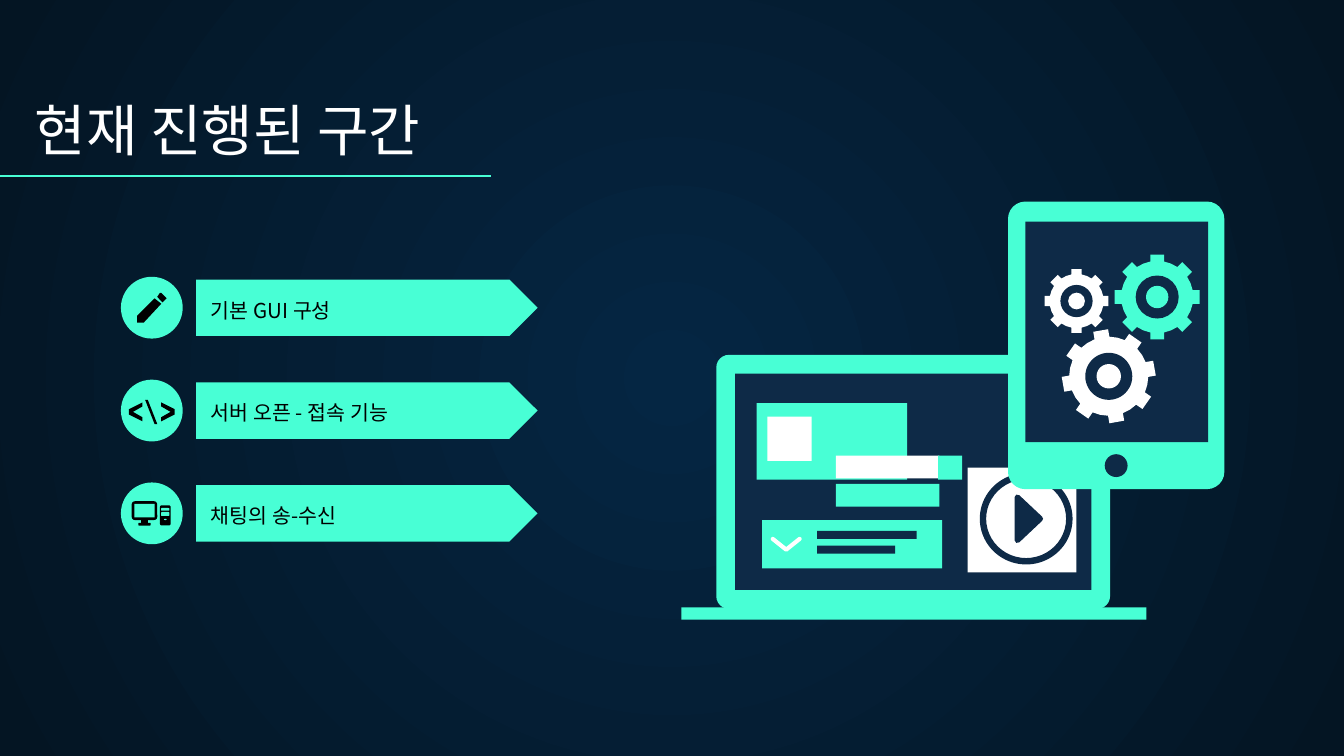
from math import asin, cos, pi, radians, sin

from lxml.etree import SubElement
from pptx import Presentation
from pptx.dml.color import RGBColor
from pptx.enum.shapes import MSO_CONNECTOR, MSO_SHAPE
from pptx.enum.text import MSO_ANCHOR
from pptx.oxml.ns import qn
from pptx.util import Inches, Pt

MINT = RGBColor(0x48, 0xFF, 0xD5)
NAVY = RGBColor(0x0E, 0x2A, 0x47)
WHITE = RGBColor(0xFF, 0xFF, 0xFF)
BLACK = RGBColor(0, 0, 0)
GLOW = RGBColor(0x05, 0x26, 0x43)
EDGE = RGBColor(0x04, 0x15, 0x23)
FONT = "Noto Sans CJK KR"


def paint(shape, color):
    shape.shadow.inherit = False
    shape.fill.solid()
    shape.fill.fore_color.rgb = color
    shape.line.fill.background()
    return shape


def add_block(page, kind, left, top, width, height, color, adjust=None):
    shape = page.shapes.add_shape(
        kind, Inches(left), Inches(top), Inches(width), Inches(height))
    if adjust is not None:
        shape.adjustments[0] = adjust
    return paint(shape, color)


def add_outline(page, left, top, points, color, close=True):
    corners = [(Inches(left + x), Inches(top + y)) for x, y in points]
    builder = page.shapes.build_freeform(*corners[0])
    builder.add_line_segments(corners[1:], close=close)
    return paint(builder.convert_to_shape(), color)


def round_stroke(shape, color, width):
    shape.line.color.rgb = color
    shape.line.width = Pt(width)
    stroke = shape.line._get_or_add_ln()
    stroke.set("cap", "rnd")
    SubElement(stroke, qn("a:round"))


def add_text(page, left, top, width, height, text, size, color):
    box = page.shapes.add_textbox(
        Inches(left), Inches(top), Inches(width), Inches(height))
    frame = box.text_frame
    frame.word_wrap = True
    frame.vertical_anchor = MSO_ANCHOR.BOTTOM
    frame.margin_left = frame.margin_right = Inches(0.1)
    frame.margin_top = frame.margin_bottom = Inches(0.1)
    frame.text = text
    font = frame.paragraphs[0].runs[0].font
    font.size = Pt(size)
    font.name = FONT
    font.color.rgb = color
    SubElement(font._element, qn("a:ea")).set("typeface", FONT)


def draw_background(page):
    fill = page.background.fill
    fill.gradient()
    for stop, color in zip(fill.gradient_stops, (GLOW, EDGE)):
        stop.color.rgb = color
    gradient = page._element.find(".//" + qn("a:gradFill"))
    linear = gradient.find(qn("a:lin"))
    if linear is not None:
        gradient.remove(linear)
    circle = SubElement(gradient, qn("a:path"))
    circle.set("path", "circle")
    center = SubElement(circle, qn("a:fillToRect"))
    for side in "ltrb":
        center.set(side, "50000")


def draw_title(page, left, top, width, height, text):
    add_text(page, left + 0.16, top, width, height, text, 30, WHITE)
    base = Inches(top + height)
    rule = page.shapes.add_connector(
        MSO_CONNECTOR.STRAIGHT, Inches(left), base, Inches(left + 3.65), base)
    rule.line.color.rgb = MINT
    rule.line.width = Pt(0.75)
    SubElement(rule._element.spPr, qn("a:effectLst"))


def draw_pencil(page, left, top):
    add_outline(page, left, top, [
        (0.25, 0.16), (0.12, 0.29), (0.12, 0.34), (0.17, 0.34), (0.3, 0.2)], BLACK)
    add_outline(page, left, top, [
        (0.29, 0.12), (0.27, 0.15), (0.31, 0.19), (0.34, 0.16), (0.3, 0.12)], BLACK)


def draw_code(page, left, top):
    bracket = [(0.07, 0.07), (0.17, 0.02), (0.17, -0.02), (0.07, -0.07),
               (0.07, -0.04), (0.14, 0), (0.07, 0.04)]
    for side in (-1, 1):
        points = [(0.23 + side * x, 0.24 + y) for x, y in bracket]
        add_outline(page, left, top, points, BLACK)
    add_outline(page, left, top, [
        (0.18, 0.15), (0.2, 0.15), (0.27, 0.33), (0.25, 0.33)], BLACK)


def draw_computer(page, left, top):
    rounded, plain = MSO_SHAPE.ROUNDED_RECTANGLE, MSO_SHAPE.RECTANGLE
    for kind, x, y, width, height, color in (
            (rounded, 0.08, 0.14, 0.19, 0.14, BLACK),
            (plain, 0.1, 0.16, 0.15, 0.1, MINT),
            (plain, 0.15, 0.28, 0.05, 0.03, BLACK),
            (rounded, 0.13, 0.3, 0.09, 0.02, BLACK),
            (rounded, 0.29, 0.17, 0.08, 0.15, BLACK),
            (rounded, 0.3, 0.19, 0.06, 0.02, MINT),
            (rounded, 0.3, 0.22, 0.06, 0.03, MINT),
            (MSO_SHAPE.OVAL, 0.32, 0.27, 0.02, 0.01, MINT)):
        add_block(page, kind, left + x, top + y, width, height, color)


def draw_step(page, left, top, text, draw_icon):
    add_block(page, MSO_SHAPE.PENTAGON, left + 0.56, top + 0.02, 2.54, 0.42, MINT, 0.5)
    add_text(page, left + 0.57, top + 0.01, 2.5, 0.42, text, 11, BLACK)
    add_block(page, MSO_SHAPE.OVAL, left, top, 0.46, 0.46, MINT)
    draw_icon(page, left, top)


def draw_laptop(page, left, top):
    plain = MSO_SHAPE.RECTANGLE
    add_block(page, MSO_SHAPE.ROUNDED_RECTANGLE, left + 0.26, top, 2.93, 1.89, MINT, 0.05)
    for x, y, width, height, color in (
            (0.4, 0.14, 2.65, 1.61, NAVY),
            (0, 1.88, 3.46, 0.09, MINT),
            (0.56, 0.36, 1.12, 0.57, MINT),
            (0.64, 0.46, 0.33, 0.33, WHITE),
            (0.6, 1.23, 1.34, 0.36, MINT),
            (1.01, 1.31, 0.74, 0.06, NAVY),
            (1.01, 1.42, 0.58, 0.06, NAVY),
            (1.15, 0.96, 0.77, 0.17, MINT),
            (1.15, 0.75, 0.77, 0.17, WHITE),
            (1.91, 0.75, 0.18, 0.18, MINT),
            (2.13, 0.84, 0.81, 0.78, WHITE)):
        add_block(page, plain, left + x, top + y, width, height, color)
    check = add_outline(page, left, top, [
        (0.68, 1.37), (0.78, 1.45), (0.88, 1.37)], WHITE, close=False)
    check.fill.background()
    round_stroke(check, WHITE, 2.25)
    add_block(page, MSO_SHAPE.DONUT, left + 2.22, top + 0.88, 0.69, 0.68, NAVY, 0.07)
    play = add_outline(page, left, top, [
        (2.5, 1.06), (2.67, 1.22), (2.5, 1.38)], NAVY)
    round_stroke(play, NAVY, 3)


def draw_gear(page, center_x, center_y, radius, color, turn=0):
    body, half_tooth = 0.84 * radius, 0.16 * radius
    root, tip = asin(half_tooth / body), asin(half_tooth / radius)
    profile = ((body, -root), (radius, -tip), (radius, tip), (body, root), (body, pi / 8))
    points = []
    for tooth in range(8):
        angle = radians(turn) + tooth * pi / 4
        points += [(distance * cos(angle + offset), distance * sin(angle + offset))
                   for distance, offset in profile]
    add_outline(page, center_x, center_y, points, color)
    for share, shade in ((0.5, NAVY), (0.26, color)):
        size = share * radius
        add_block(page, MSO_SHAPE.OVAL, center_x - size, center_y - size,
                  2 * size, 2 * size, shade)


def draw_tablet(page, left, top):
    add_block(page, MSO_SHAPE.ROUNDED_RECTANGLE, left, top, 1.61, 2.14, MINT, 0.08)
    add_block(page, MSO_SHAPE.RECTANGLE, left + 0.13, top + 0.15, 1.36, 1.64, NAVY)
    add_block(page, MSO_SHAPE.OVAL, left + 0.72, top + 1.88, 0.17, 0.17, NAVY)
    draw_gear(page, left + 1.11, top + 0.71, 0.32, MINT)
    draw_gear(page, left + 0.51, top + 0.74, 0.24, WHITE)
    draw_gear(page, left + 0.75, top + 1.3, 0.35, WHITE, -10)


def main():
    deck = Presentation()
    deck.slide_width = Inches(10)
    deck.slide_height = deck.slide_width * 9 // 16
    page = deck.slides.add_slide(deck.slide_layouts[6])
    draw_background(page)
    draw_title(page, 0, 0.65, 8.57, 0.66, "현재 진행된 구간")
    steps = (("기본 GUI 구성", draw_pencil),
             ("서버 오픈 - 접속 기능", draw_code),
             ("채팅의 송-수신", draw_computer))
    pitch = 1.53 / 2
    for index, (text, draw_icon) in enumerate(steps):
        draw_step(page, 0.9, 2.06 + index * pitch, text, draw_icon)
    draw_laptop(page, 5.07, 2.64)
    draw_tablet(page, 7.5, 1.5)
    deck.save("out.pptx")


if __name__ == "__main__":
    main()
